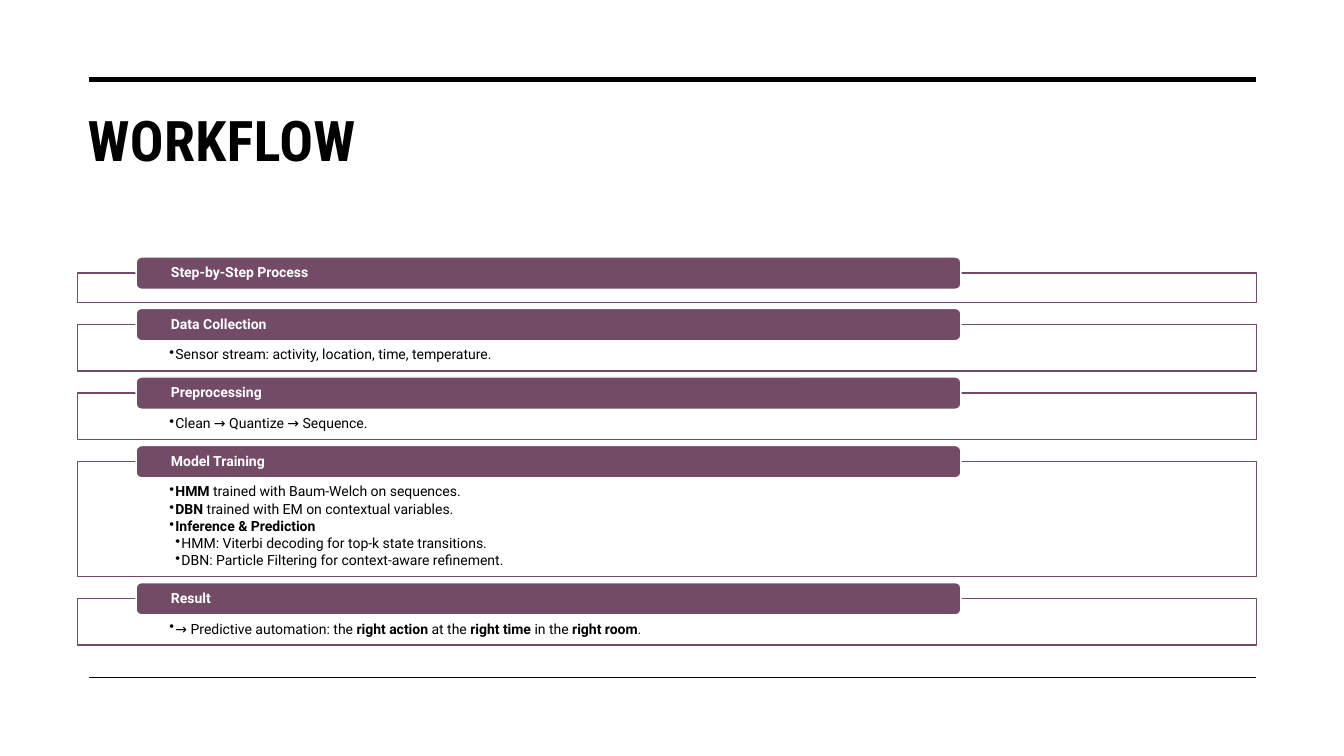
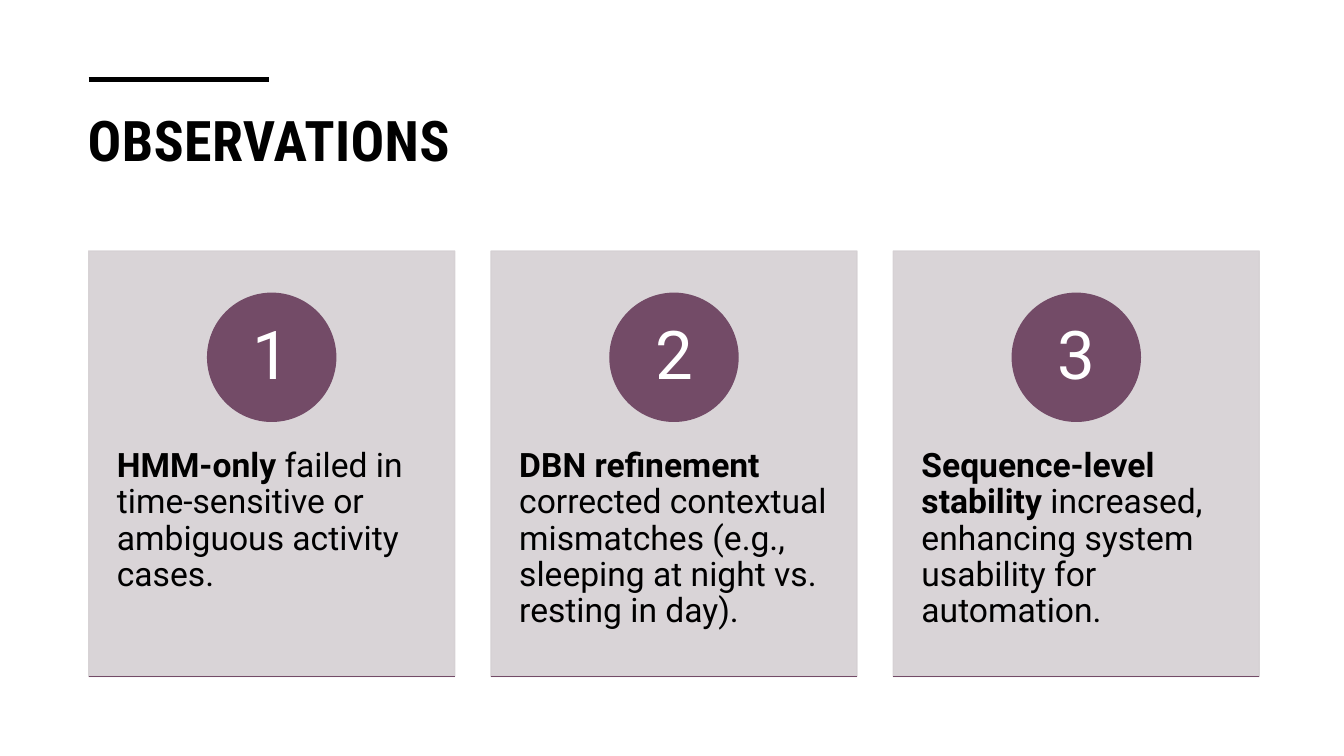
import lxml.etree
import pptx
import pptx.dml.color
import pptx.enum.shapes
import pptx.enum.text
import pptx.oxml.ns
import pptx.util

Inches = pptx.util.Inches
Pt = pptx.util.Pt
qn = pptx.oxml.ns.qn
PRESET = pptx.enum.shapes.MSO_SHAPE
ANCHOR = pptx.enum.text.MSO_ANCHOR
ALIGN = pptx.enum.text.PP_ALIGN

BLACK, WHITE, PLUM, MIST = "000000", "FFFFFF", "734B67", "D5D0D3"
TITLE_FONT, BODY_FONT = "Roboto Condensed", "Roboto"
LEFT, RIGHT = 0.88, 12.46
TITLE_LEFT, TITLE_TOP, TITLE_SIZE = 0.77, 1, 40
TOP_RULE, TOP_RULE_WIDTH = 0.79, 3.5
BOTTOM_RULE = 6.72
BULLET_INDENT = 0.06


def color(value):
    return pptx.dml.color.RGBColor.from_string(value)


class Deck:
    def __init__(self):
        self.presentation = pptx.Presentation()
        self.presentation.slide_width = Inches(13.33)
        self.presentation.slide_height = Inches(7.5)
        self.slide = None

    def add_slide(self, title, width, height, rule_end):
        layout = self.presentation.slide_layouts[5]
        self.slide = self.presentation.slides.add_slide(layout)
        self.rule(LEFT, rule_end, TOP_RULE, BLACK, TOP_RULE_WIDTH)
        shape = self.slide.shapes.title
        shape.left, shape.top = Inches(TITLE_LEFT), Inches(TITLE_TOP)
        shape.width, shape.height = Inches(width), Inches(height)
        frame = shape.text_frame
        frame.auto_size = pptx.enum.text.MSO_AUTO_SIZE.NONE
        frame.vertical_anchor = ANCHOR.TOP
        paragraph = frame.paragraphs[0]
        paragraph.alignment = ALIGN.LEFT
        run = self.run(paragraph, title, TITLE_SIZE, BLACK, True, TITLE_FONT)
        run.font._element.set("spc", "30")

    def rule(self, start, end, top, line, width):
        connector = self.slide.shapes.add_connector(
            pptx.enum.shapes.MSO_CONNECTOR.STRAIGHT,
            Inches(start), Inches(top), Inches(end), Inches(top))
        connector.line.color.rgb = color(line)
        connector.line.width = Pt(width)
        lxml.etree.SubElement(connector._element.spPr, qn("a:effectLst"))

    def box(self, preset, left, top, width, height, fill, line, opacity=100):
        shape = self.slide.shapes.add_shape(
            preset, Inches(left), Inches(top), Inches(width), Inches(height))
        shape.shadow.inherit = False
        shape.fill.solid()
        shape.fill.fore_color.rgb = color(fill)
        shape.line.color.rgb = color(line)
        shape.line.width = Pt(1)
        if opacity < 100:
            for element in shape._element.spPr.iter(qn("a:srgbClr")):
                alpha = lxml.etree.SubElement(element, qn("a:alpha"))
                alpha.set("val", str(opacity * 1000))
        return shape

    def prepare_text(self, shape, side=0, top=0, anchor=ANCHOR.MIDDLE):
        frame = shape.text_frame
        frame.word_wrap = True
        frame.margin_left = frame.margin_right = Inches(side)
        frame.margin_top, frame.margin_bottom = Inches(top), 0
        frame.vertical_anchor = anchor
        return frame

    def run(self, paragraph, text, size, font_color, bold=False, font=BODY_FONT):
        run = paragraph.add_run()
        run.text = text
        run.font.name = font
        run.font.size = Pt(size)
        run.font.bold = bold
        run.font.color.rgb = color(font_color)
        return run

    def runs(self, paragraph, parts, size, font_color, alignment=ALIGN.LEFT):
        paragraph.alignment = alignment
        paragraph.line_spacing = 0.9
        for text, bold in parts:
            self.run(paragraph, text, size, font_color, bold)

    def bullets(self, frame, items):
        for index, (level, parts) in enumerate(items):
            paragraph = frame.add_paragraph() if index else frame.paragraphs[0]
            paragraph.level = level
            properties = paragraph._element.get_or_add_pPr()
            properties.set("marL", str(Inches(BULLET_INDENT * level)))
            properties.set("indent", str(-Inches(BULLET_INDENT)))
            bullet = lxml.etree.SubElement(properties, qn("a:buChar"))
            bullet.set("char", "•")
            paragraph.space_after = Pt(1.5)
            self.runs(paragraph, parts, 10, BLACK)

    def step(self, top, height, heading, items):
        panel = self.box(PRESET.RECTANGLE, TITLE_LEFT, top, RIGHT - TITLE_LEFT, height, WHITE, PLUM)
        if items:
            self.bullets(self.prepare_text(panel, 0.91, 0.23, ANCHOR.TOP), items)
        banner = self.box(PRESET.ROUNDED_RECTANGLE, 1.35, top - 0.16, 8.18, 0.32, PLUM, WHITE)
        frame = self.prepare_text(banner, 0.33)
        self.runs(frame.paragraphs[0], [(heading, True)], 10, WHITE)

    def card(self, left, number, parts):
        top, width, height, diameter = 2.49, 3.63, 4.22, 1.27
        panel = self.box(PRESET.RECTANGLE, left, top, width, height, MIST, MIST, 90)
        frame = self.prepare_text(panel, 0.28, 1.96, ANCHOR.TOP)
        self.runs(frame.paragraphs[0], parts, 24, BLACK)
        circle = self.box(PRESET.OVAL, left + (width - diameter) / 2, top + 0.42,
                          diameter, diameter, PLUM, PLUM)
        frame = self.prepare_text(circle)
        self.runs(frame.paragraphs[0], [(str(number), False)], 48, WHITE, ALIGN.CENTER)
        self.rule(left, left + width, top + height, PLUM, 1)


STEPS = [
    ("Step-by-Step Process", []),
    ("Data Collection", [
        (1, [("Sensor stream: activity, location, time, temperature.", False)]),
    ]),
    ("Preprocessing", [
        (1, [("Clean → Quantize → Sequence.", False)]),
    ]),
    ("Model Training", [
        (1, [("HMM", True), (" trained with Baum-Welch on sequences.", False)]),
        (1, [("DBN", True), (" trained with EM on contextual variables.", False)]),
        (1, [("Inference & Prediction", True)]),
        (2, [("HMM: Viterbi decoding for top-k state transitions.", False)]),
        (2, [("DBN: Particle Filtering for context-aware refinement.", False)]),
    ]),
    ("Result", [
        (1, [("→ Predictive automation: the ", False), ("right action", True),
             (" at the ", False), ("right time", True), (" in the ", False),
             ("right room", True), (".", False)]),
    ]),
]

OBSERVATIONS = [
    [("HMM-only", True),
     (" failed in time-sensitive or ambiguous activity cases.", False)],
    [("DBN refinement", True),
     (" corrected contextual mismatches (e.g., sleeping at night vs. resting in day).", False)],
    [("Sequence-level stability", True),
     (" increased, enhancing system usability for automation.", False)],
]


def main():
    deck = Deck()

    deck.add_slide("WORKFLOW", 11.69, 1.43, RIGHT)
    deck.rule(LEFT, RIGHT, BOTTOM_RULE, BLACK, 1)
    top = 2.71
    for heading, items in STEPS:
        height = 0.29 + 0.17 * len(items)
        deck.step(top, height, heading, items)
        top += height + 0.22

    deck.add_slide("OBSERVATIONS", 11.81, 1.15, 2.67)
    for index, parts in enumerate(OBSERVATIONS):
        deck.card(LEFT + 3.99 * index, index + 1, parts)

    deck.presentation.save("out.pptx")


if __name__ == "__main__":
    main()
